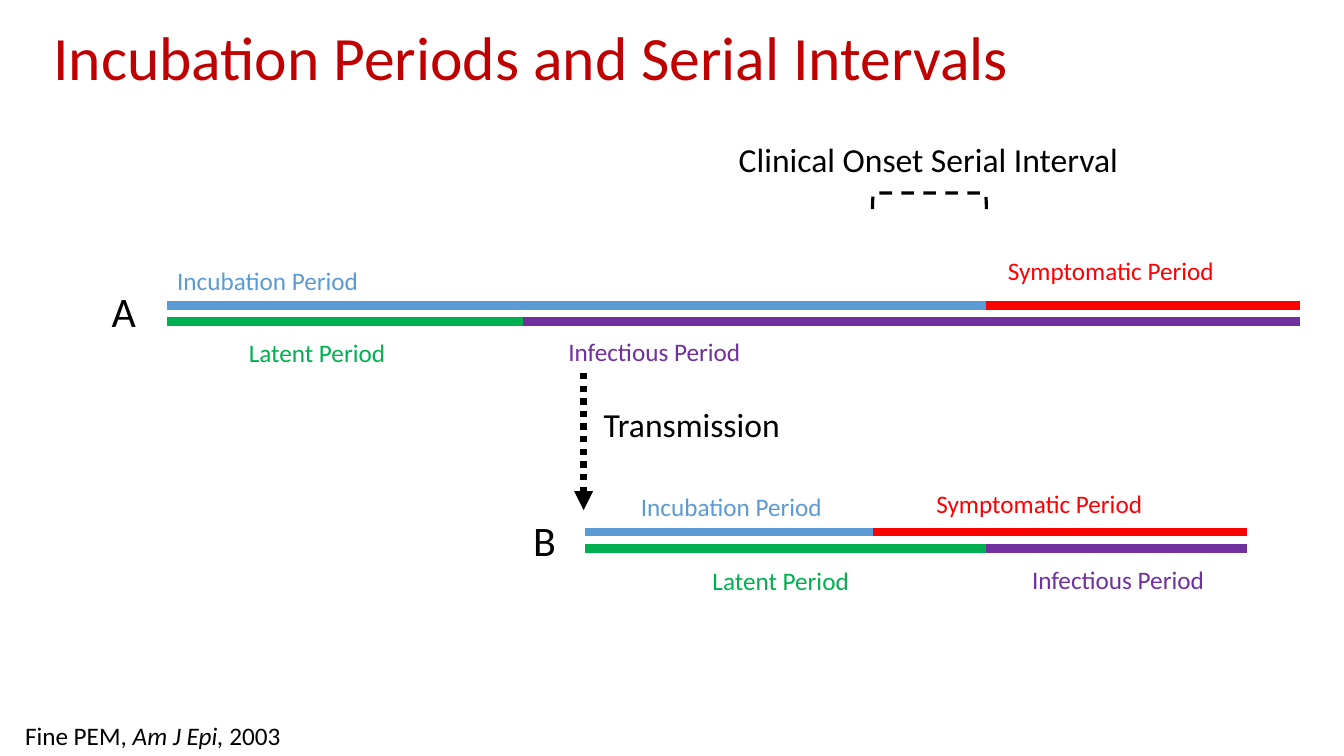
from pptx import Presentation
from pptx.dml.color import RGBColor
from pptx.enum.dml import MSO_LINE
from pptx.enum.shapes import MSO_CONNECTOR, MSO_SHAPE
from pptx.enum.text import MSO_ANCHOR
from pptx.oxml.ns import qn
from pptx.util import Inches, Pt
from lxml.etree import SubElement

BLACK, CRIMSON = "000000", "C00000"
BLUE, RED, GREEN, PURPLE = "5B9BD5", "FF0000", "00B050", "7030A0"
COLS, ROWS = 133.33, 75


def cell(n):
    return Inches(n / 10)


def color(code):
    return RGBColor.from_string(code)


def write(slide, box, text, size, ink):
    frame = slide.shapes.add_textbox(*map(cell, box)).text_frame
    frame.word_wrap = True
    para = frame.paragraphs[0]
    para.text = text
    style(para.runs[0], size, ink)
    return frame


def style(run, size, ink):
    run.font.name = "Calibri"
    run.font.size = Pt(size)
    run.font.color.rgb = color(ink)


def rule(slide, start, end, ink, width):
    line = slide.shapes.add_connector(
        MSO_CONNECTOR.STRAIGHT, *map(cell, start + end))
    line.line.color.rgb = color(ink)
    line.line.width = Pt(width)
    SubElement(line._element.spPr, qn("a:effectLst"))
    return line


def title(slide, box):
    frame = write(slide, box, "Incubation Periods and Serial Intervals", 44, CRIMSON)
    frame.vertical_anchor = MSO_ANCHOR.MIDDLE
    frame.paragraphs[0].line_spacing = 0.9


def case(slide, box, name, mark, onset, shed, spots):
    left, top, wide, gap = box
    bars = [(0, onset, 0, BLUE), (onset, wide, 0, RED),
            (shed, wide, gap, PURPLE), (0, shed, gap, GREEN)]
    words = ["Incubation", "Symptomatic", "Infectious", "Latent"]
    for (start, end, drop, ink), word, (dx, dy) in zip(bars, words, spots):
        rule(slide, (left + start, top + drop), (left + end, top + drop), ink, 6)
        write(slide, (left + dx, top + dy, 24.6, 4), word + " Period", 18, ink)
    dx, dy = mark
    write(slide, (left + dx, top + dy, 6.9, 6.1), name, 30, BLACK)


def spread(slide, box):
    left, top, wide, high = box
    arrow = rule(slide, (left, top), (left, top + high), BLACK, 4.5)
    arrow.line.dash_style = MSO_LINE.ROUND_DOT
    SubElement(arrow.line._get_or_add_ln(), qn("a:tailEnd"), type="triangle")
    write(slide, (left + 1, top + 2.6, wide, 5), "Transmission", 24, BLACK)


def serial(slide, box):
    left, top, wide, high = box
    long, thick = 11.3, 1.6
    mid = left + 19.9
    brace = slide.shapes.add_shape(
        MSO_SHAPE.LEFT_BRACKET,
        *map(cell, (mid - thick / 2, top + 1, thick, long)))
    brace.rotation = 90
    brace.shadow.inherit = False
    brace.fill.background()
    brace.line.color.rgb = color(BLACK)
    brace.line.width = Pt(2.25)
    brace.line.dash_style = MSO_LINE.DASH
    write(slide, (left, top, wide, high), "Clinical Onset Serial Interval", 24, BLACK)


def source(slide, box):
    para = write(slide, box, "Fine PEM, ", 18, BLACK).paragraphs[0]
    for text, slant in (("Am J Epi, ", True), ("2003", False)):
        run = para.add_run()
        run.text = text
        style(run, 18, BLACK)
        run.font.italic = slant


def main():
    deck = Presentation()
    deck.slide_width, deck.slide_height = cell(COLS), cell(ROWS)
    slide = deck.slides.add_slide(deck.slide_layouts[6])
    title(slide, (4.3, -1.2, 115, 14.5))
    case(slide, (16.6, 30.3, 112.4, 1.6), "A", (-6.5, -2.5), 81.2, 35.3,
         [(0, -4.5), (82.4, -5.5), (38.8, 2.6), (7.1, 2.7)])
    case(slide, (58, 52.8, 65.7, 1.6), "B", (-6.1, -2.2), 28.6, 39.8,
         [(4.6, -4.5), (33.9, -4.8), (43.4, 2.7), (11.7, 2.8)])
    spread(slide, (57.9, 37, 39.8, 13.6))
    serial(slide, (72.3, 13.3, 39.8, 5))
    source(slide, (1.5, 71, 37.3, 4))
    deck.save("out.pptx")


if __name__ == "__main__":
    main()
